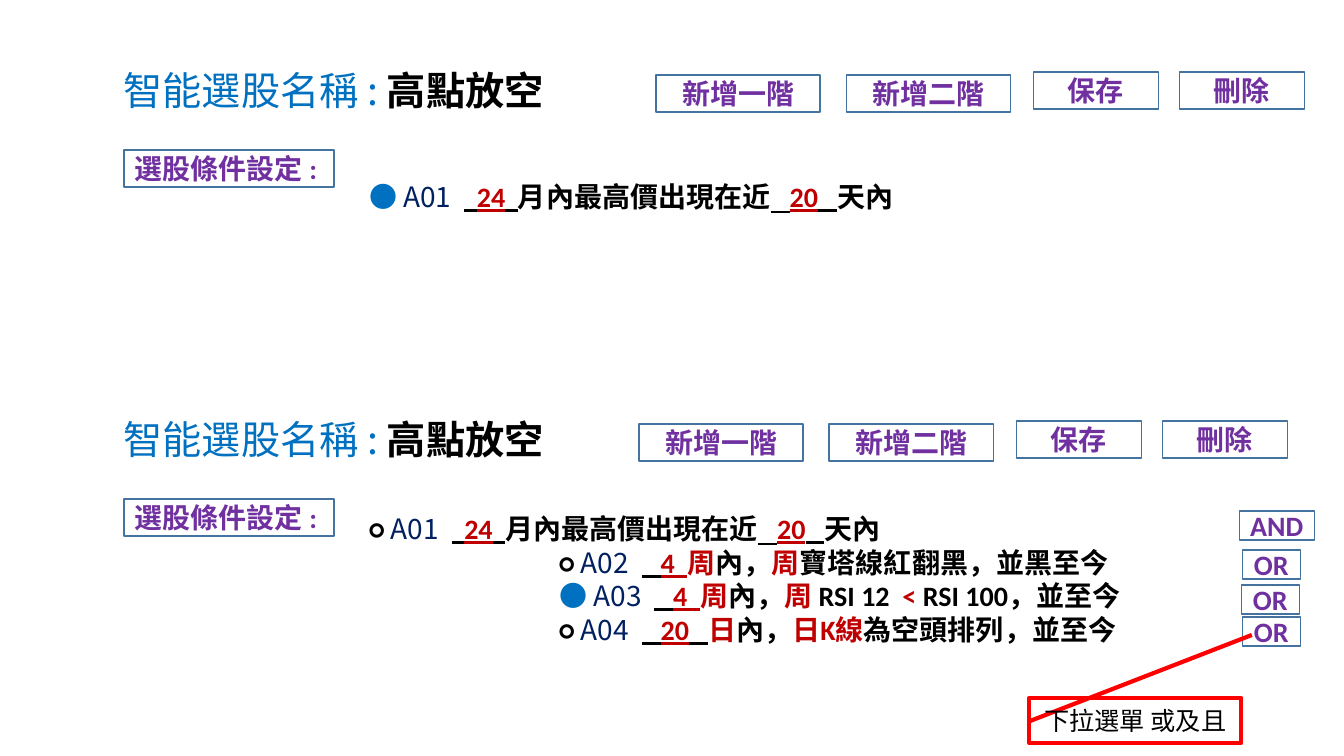
from pptx import Presentation
from pptx import util as u
from pptx.dml.color import RGBColor
from pptx.enum import shapes, text
from pptx.oxml.ns import qn

PX = u.Inches(1) / 100.8
COLORS = {"blue": "0070C0", "navy": "002060", "black": "000000", "red": "C00000",
          "purple": "7030A0", "border": "43739E", "white": "FFFFFF", "callout": "FF0000"}
CJK = "Noto Sans CJK TC"

# Run styles: font, colour, bold, underline
STYLES = {
    "dot": (CJK, "blue", False, False),
    "code": (CJK, "navy", False, False),
    "body": ("Calibri", "black", True, False),
    "key": ("Calibri", "red", True, False),
    "blank": ("Calibri", "black", True, True),
    "value": ("Calibri", "red", True, True),
    "button": ("Calibri", "purple", True, False),
    "note": ("Calibri", "black", False, False),
}

prs = Presentation()
prs.slide_width, prs.slide_height = u.Inches(13.33), u.Inches(7.5)
s = prs.slides.add_slide(prs.slide_layouts[6])


def color(name):
    """Return the named colour."""
    return RGBColor.from_string(COLORS[name])


def add_text(paragraphs, box, size=20, kind=None, line="border", width=1, fill=None,
             align=text.PP_ALIGN.CENTER, spacing=None, indents=(), wrap=False):
    """Add a text box, or a shape of the given kind, with styled runs."""
    box = [round(v * PX) for v in box]
    if kind is None:
        sp = s.shapes.add_textbox(*box)
    else:
        sp = s.shapes.add_shape(kind, *box)
        sp.shadow.inherit = False
        sp.line.color.rgb, sp.line.width = color(line), u.Pt(width)
        if fill:
            sp.fill.solid()
            sp.fill.fore_color.rgb = color(fill)
        else:
            sp.fill.background()
    tf = sp.text_frame
    tf.auto_size = text.MSO_AUTO_SIZE.NONE
    tf.word_wrap = wrap
    tf.vertical_anchor = text.MSO_ANCHOR.MIDDLE
    for i, runs in enumerate(paragraphs):
        p = tf.paragraphs[0] if i == 0 else tf.add_paragraph()
        p.alignment, p.line_spacing = align, spacing
        if indents:
            p._p.get_or_add_pPr().set("marL", str(round(indents[i] * PX)))
        for words, style in runs:
            font, ink, bold, underline = STYLES[style]
            r = p.add_run()
            r.text = words
            r.font.name, r.font.size = font, u.Pt(size)
            r.font.bold, r.font.underline = bold, underline
            r.font.color.rgb = color(ink)
            r.font._element.find(qn("a:latin")).addnext(
                r.font._element.makeelement(qn("a:ea"), {"typeface": CJK}))
    return sp


RECT = shapes.MSO_SHAPE.RECTANGLE
BUTTONS = [("新增一階", 656, 75, 164), ("新增二階", 846, 75, 164),
           ("保存", 1033, 72, 125), ("刪除", 1179, 72, 125)]

# Heading, label and buttons of both states
for dx, dy in [(0, 0), (-17, 349)]:
    add_text([[("智能選股名稱 : ", "dot"), ("高點放空", "body")]],
             (42, 53 + dy, 583, 79), size=28, spacing=0.9, wrap=True)
    add_text([[("選股條件設定 : ", "button")]], (124, 150 + dy, 210, 37), kind=RECT)
    for name, x, y, w in BUTTONS:
        add_text([[(name, "button")]], (x + dx, y + dy, w, 37), kind=RECT)

# Conditions
SELECTED, OPEN = ("● ", "dot"), ("○ ", "body")
a01 = [("A01  ", "code"), ("  ", "blank"), ("24", "value"), ("  ", "blank"),
       ("月內最高價出現在近", "body"), ("   ", "blank"), ("20", "value"),
       ("   ", "blank"), ("天內", "body")]
a02 = [("A02  ", "code"), ("   ", "blank"), ("4  ", "value"), ("周", "key"),
       ("內，", "body"), ("周", "key"), ("寶塔線紅翻黑，並黑至今", "body")]
a03 = [("A03  ", "code"), ("   ", "blank"), ("4  ", "value"), ("周", "key"),
       ("內，", "body"), ("周 ", "key"), ("RSI 12  ", "body"), ("< ", "key"),
       ("RSI 100，並至今", "body")]
a04 = [("A04  ", "code"), ("   ", "blank"), ("20", "value"), ("   ", "blank"),
       ("日", "key"), ("內，", "body"), ("日K線", "key"), ("為空頭排列，並至今", "body")]
rows = dict(align=text.PP_ALIGN.JUSTIFY, spacing=u.Pt(24), wrap=True)
add_text([[SELECTED] + a01], (359, 150, 573, 93), **rows)
add_text([[OPEN] + a01, [OPEN] + a02, [SELECTED] + a03, [OPEN] + a04],
         (359, 488, 915, 182), indents=(0, 190, 190, 190), **rows)

# Operators and the drop-down note
for name, x, y, w in [("AND", 1239, 511, 75), ("OR", 1242, 550, 58),
                      ("OR", 1241, 585, 58), ("OR", 1242, 617, 58)]:
    add_text([[(name, "button")]], (x, y, w, 29), kind=RECT)
note = add_text([[("下拉選單 或及且", "note")]], (1029, 698, 212, 45), size=18,
                kind=shapes.MSO_SHAPE.LINE_CALLOUT_1, line="callout", width=3, fill="white")
for i, value in enumerate((0.52, 0, -1.4, 1.05)):
    note.adjustments[i] = value

prs.save("out.pptx")
